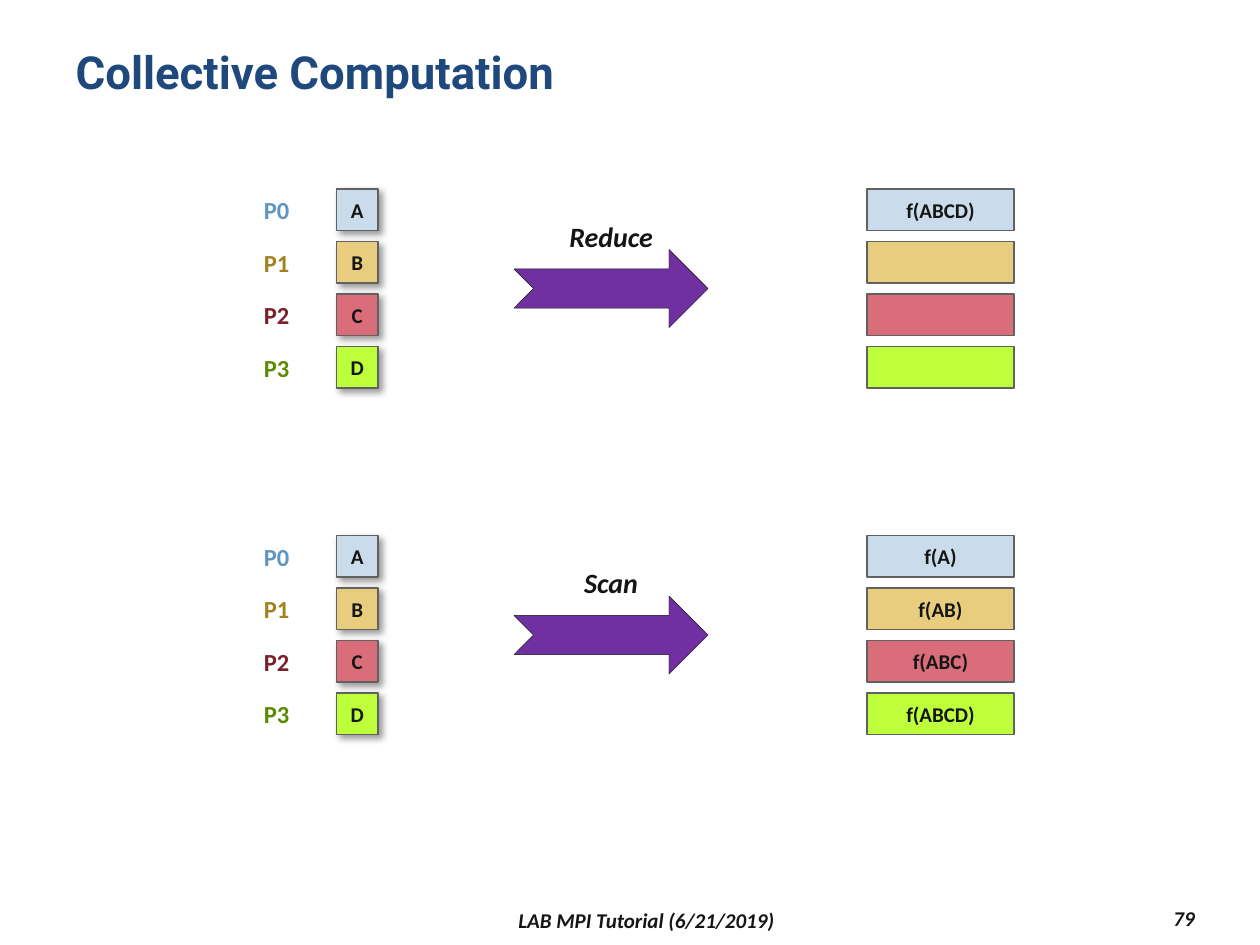
"""Build a slide that contrasts the Reduce and Scan collective computations."""
from lxml.etree import SubElement
from pptx import Presentation
from pptx.dml.color import RGBColor
from pptx.enum.shapes import MSO_SHAPE as Shape
from pptx.enum.text import MSO_ANCHOR as Anchor, MSO_AUTO_SIZE as AutoSize, PP_ALIGN as Align
from pptx.oxml.ns import qn
from pptx.util import Inches, Pt

COLORS = {
    "title": "1F497D", "text": "151515", "border": "616161", "arrow": "7030A0",
    "shadow": "000000",
}
PROCESSES = [
    ("P0", "A", "CADCEB", "5F95C4"),
    ("P1", "B", "E8CD7E", "A3811D"),
    ("P2", "C", "D96E7A", "7A202A"),
    ("P3", "D", "BDFF3B", "5C8A00"),
]
OPERATIONS = [
    ("Reduce", 1.5, 0.88, ["f(ABCD)", "", "", ""]),
    ("Scan", 4.25, 0.64, ["f(A)", "f(AB)", "f(ABC)", "f(ABCD)"]),
]
ROW_STEP = 5 / 12
CELL_HEIGHT = 0.33
ARROW_LEFT, ARROW_WIDTH = 4.08, 1.54


def rgb(value):
    return RGBColor.from_string(value)


def write(box, text, size, color=COLORS["text"], align=Align.CENTER, font="Calibri", italic=False):
    para = box.text_frame.paragraphs[0]
    para.alignment = align
    span = para.add_run()
    span.text = text
    span.font.name = font
    span.font.size = Pt(size)
    span.font.bold = True
    span.font.italic = italic
    span.font.color.rgb = rgb(color)


def add_label(shapes, text, left, top, width, height, size, wrap=False, anchor=Anchor.TOP, **style):
    box = shapes.add_textbox(Inches(left), Inches(top), Inches(width), Inches(height))
    frame = box.text_frame
    frame.word_wrap = wrap
    frame.vertical_anchor = anchor
    frame.auto_size = AutoSize.NONE if wrap else AutoSize.SHAPE_TO_FIT_TEXT
    write(box, text, size, **style)


def add_filled(shapes, kind, left, top, width, height, fill, line, weight):
    shape = shapes.add_shape(kind, Inches(left), Inches(top), Inches(width), Inches(height))
    shape.shadow.inherit = False
    shape.fill.solid()
    shape.fill.fore_color.rgb = rgb(fill)
    shape.line.color.rgb = rgb(line)
    shape.line.width = Pt(weight)
    return shape


def add_cell(shapes, text, left, top, width, fill):
    cell = add_filled(shapes, Shape.RECTANGLE, left, top, width, CELL_HEIGHT, fill, COLORS["border"], 1)
    cell.text_frame.word_wrap = False
    cell.text_frame.vertical_anchor = Anchor.MIDDLE
    if text:
        write(cell, text, 12)
    return cell


def add_shadow(shape):
    effects = shape._element.spPr.find(qn("a:effectLst"))
    shadow = SubElement(effects, qn("a:outerShdw"), blurRad=str(Pt(4)), dist=str(Pt(3)),
                        dir=str(45 * 60000), algn="tl", rotWithShape="0")
    color = SubElement(shadow, qn("a:srgbClr"), val=COLORS["shadow"])
    SubElement(color, qn("a:alpha"), val="40000")


def add_results(page, results, top):
    shapes = page.shapes.add_group_shape().shapes
    for row, (text, process) in enumerate(zip(results, PROCESSES)):
        add_cell(shapes, text, 6.88, top + row * ROW_STEP, 1.17, process[2])


def add_arrow(page, name, top, label_width):
    shapes = page.shapes.add_group_shape().shapes
    label_left = ARROW_LEFT + (ARROW_WIDTH - label_width) / 2
    add_label(shapes, name, label_left, top + 0.19, label_width, 0.37, 16, italic=True)
    add_filled(shapes, Shape.NOTCHED_RIGHT_ARROW, ARROW_LEFT, top + 0.48, ARROW_WIDTH, 0.62,
               COLORS["arrow"], COLORS["text"], 0.25)


def add_inputs(page, top):
    shapes = page.shapes.add_group_shape().shapes
    for row, (process, datum, fill, color) in enumerate(PROCESSES):
        row_top = top + row * ROW_STEP
        add_shadow(add_cell(shapes, datum, 2.67, row_top, CELL_HEIGHT, fill))
        add_label(shapes, process, 1.99, row_top, 0.41, 0.34, 14, color=color)


def add_title(page, text):
    title = page.shapes.title
    title.left, title.top, title.width, title.height = map(Inches, (0.5, 0.3, 9, 0.87))
    title.text_frame.vertical_anchor = Anchor.TOP
    write(title, text, 26, COLORS["title"], Align.LEFT, "Roboto")


def main():
    deck = Presentation()
    deck.slide_width, deck.slide_height = Inches(10), Inches(7.5)
    page = deck.slides.add_slide(deck.slide_layouts[5])
    add_title(page, "Collective Computation")
    for name, top, label_width, results in OPERATIONS:
        add_results(page, results, top)
        add_arrow(page, name, top, label_width)
        add_inputs(page, top)
    footer = {"size": 12, "wrap": True, "anchor": Anchor.MIDDLE, "italic": True}
    add_label(page.shapes, "LAB MPI Tutorial (6/21/2019)", 2.17, 7.17, 5.92, 0.27, **footer)
    add_label(page.shapes, "79", 8.5, 7.15, 1.08, 0.27, align=Align.RIGHT, **footer)
    deck.save("out.pptx")


if __name__ == "__main__":
    main()
